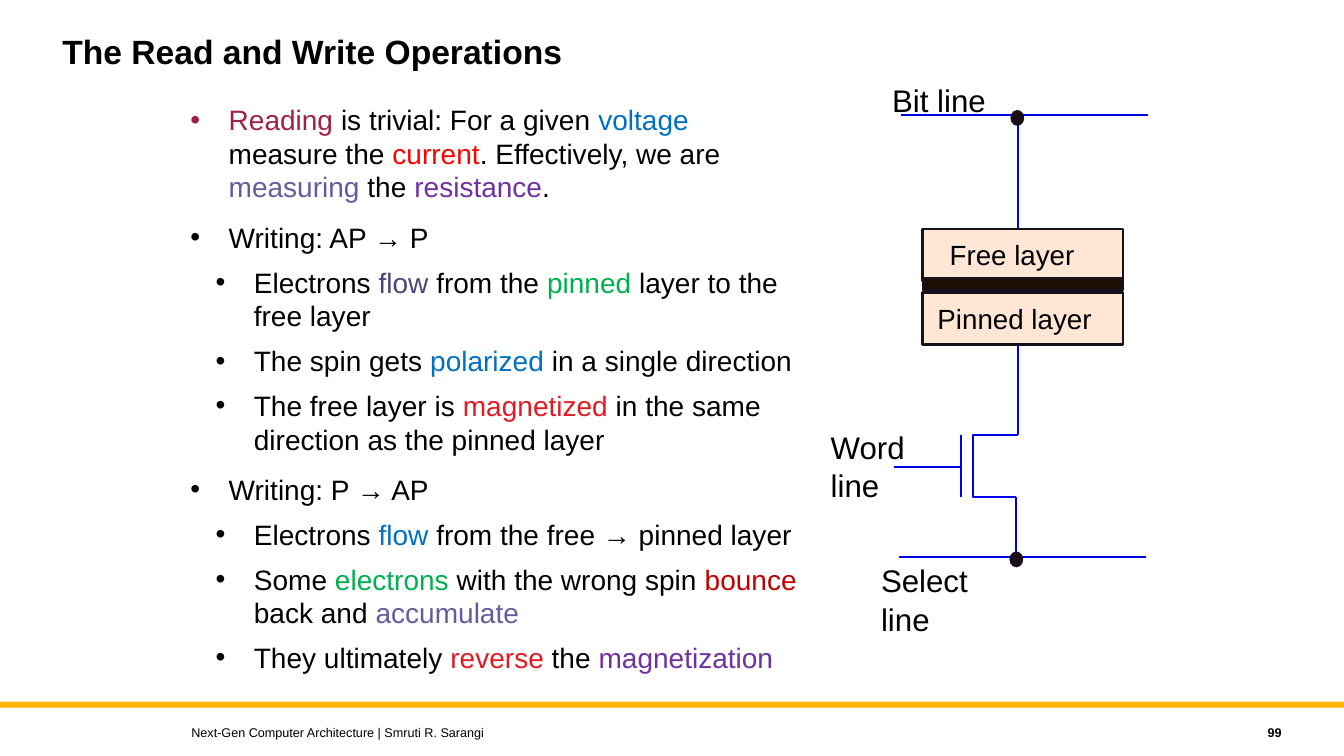
from typing import NamedTuple

from lxml.etree import SubElement
from pptx import Presentation
from pptx.dml.color import RGBColor
from pptx.enum.shapes import MSO_CONNECTOR as Connector, MSO_SHAPE as Preset
from pptx.enum.text import MSO_ANCHOR as Anchor, PP_ALIGN as Align
from pptx.oxml.ns import qn
from pptx.util import Inches, Pt

COLORS = {
    "black": "000000", "gold": "FFB600", "maroon": "9F2241", "blue": "0070C0",
    "red": "FF0000", "lavender": "625D9C", "purple": "7030A0", "indigo": "4A4675",
    "green": "00B050", "scarlet": "E21A23", "crimson": "C00000", "wire": "0000E8",
    "outline": "15111D", "layer": "FFE6D5", "barrier": "1D0F05", "dot": "1A0E12",
}
FONT = "Arial"
WIRE_WIDTH = 1.42


class Box(NamedTuple):
    left: float
    top: float
    width: float
    height: float


class Run(NamedTuple):
    text: str
    color: str = "black"


class Bullet(NamedTuple):
    level: int
    runs: list[Run]


class Label(NamedTuple):
    text: str
    box: Box
    size: float


class Wire(NamedTuple):
    x1: float
    y1: float
    x2: float
    y2: float


class Layer(NamedTuple):
    box: Box
    fill: str
    line_width: float


BULLETS = [
    Bullet(0, [Run("Reading", "maroon"), Run(" is trivial: For a given "),
               Run("voltage", "blue"), Run(" measure the "), Run("current", "red"),
               Run(". Effectively, we are "), Run("measuring", "lavender"),
               Run(" the "), Run("resistance", "purple"), Run(".")]),
    Bullet(0, [Run("Writing: AP → P")]),
    Bullet(1, [Run("Electrons "), Run("flow", "indigo"), Run(" from the "),
               Run("pinned", "green"), Run(" layer to the free layer")]),
    Bullet(1, [Run("The spin gets "), Run("polarized", "blue"),
               Run(" in a single direction")]),
    Bullet(1, [Run("The free layer is "), Run("magnetized", "scarlet"),
               Run(" in the same direction as the pinned layer")]),
    Bullet(0, [Run("Writing: P → AP")]),
    Bullet(1, [Run("Electrons "), Run("flow", "blue"),
               Run(" from the free → pinned layer")]),
    Bullet(1, [Run("Some "), Run("electrons", "green"), Run(" with the wrong spin "),
               Run("bounce", "crimson"), Run(" back and "),
               Run("accumulate", "lavender")]),
    Bullet(1, [Run("They ultimately "), Run("reverse", "scarlet"), Run(" the "),
               Run("magnetization", "purple")]),
]
WIRES = [
    Wire(8.94, 1.14, 11.39, 1.14),   # bit line
    Wire(10.1, 1.14, 10.1, 2.27),
    Wire(10.1, 3.43, 10.1, 4.32),
    Wire(9.53, 4.32, 9.53, 4.93),    # transistor gate
    Wire(9.53, 4.63, 8.87, 4.63),    # word line
    Wire(10.08, 4.93, 10.08, 5.55),
    Wire(8.92, 5.53, 11.37, 5.53),   # select line
]
CHANNEL = [(10.1, 4.32), (9.65, 4.32), (9.65, 4.93), (10.08, 4.93)]
LAYERS = [
    Layer(Box(9.15, 2.27, 1.99, 0.52), "layer", 1.85),
    Layer(Box(9.15, 2.76, 1.99, 0.12), "barrier", 1.5),
    Layer(Box(9.15, 2.9, 1.99, 0.52), "layer", 1.85),
]
JUNCTIONS = [Box(10.03, 1.1, 0.12, 0.14), Box(10.02, 5.48, 0.12, 0.14)]
LABELS = [
    Label("Bit line", Box(8.75, 0.76, 1.14, 0.48), 22.3),
    Label("Free layer", Box(9.32, 2.31, 1.45, 0.43), 19.8),
    Label("Pinned layer", Box(9.2, 2.94, 1.74, 0.43), 19.8),
    Label("Word", Box(8.14, 4.2, 0.94, 0.48), 22.3),
    Label("line", Box(8.14, 4.58, 0.69, 0.48), 22.3),
    Label("Select", Box(8.64, 5.52, 1.07, 0.48), 22.3),
    Label("line", Box(8.64, 5.91, 0.69, 0.48), 22.3),
]


def rgb(name: str) -> RGBColor:
    return RGBColor.from_string(COLORS[name])


def inches(values) -> list:
    return [Inches(value) for value in values]


def write_runs(paragraph, runs: list[Run], size: float, bold: bool = False) -> None:
    for part in runs:
        run = paragraph.add_run()
        run.text = part.text
        run.font.name, run.font.size, run.font.bold = FONT, Pt(size), bold
        run.font.color.rgb = rgb(part.color)


def add_text(slide, text: str, box: Box, *, size: float, bold: bool = False,
             align=Align.LEFT, anchor=Anchor.TOP, wrap: bool = True,
             spacing: float | None = None) -> None:
    frame = slide.shapes.add_textbox(*inches(box)).text_frame
    frame.word_wrap, frame.vertical_anchor = wrap, anchor
    paragraph = frame.paragraphs[0]
    paragraph.alignment, paragraph.line_spacing = align, spacing
    write_runs(paragraph, [Run(text)], size, bold)


def add_bullets(slide, bullets: list[Bullet], box: Box) -> None:
    frame = slide.shapes.add_textbox(*inches(box)).text_frame
    frame.word_wrap = True
    for index, bullet in enumerate(bullets):
        paragraph = frame.add_paragraph() if index else frame.paragraphs[0]
        paragraph.level = bullet.level
        paragraph.line_spacing = Pt(24)
        if index:
            paragraph.space_before = Pt(8 if bullet.level else 12)
        properties = paragraph._p.get_or_add_pPr()
        properties.set("marL", str(Inches(0.38 + 0.25 * bullet.level)))
        properties.set("indent", str(Inches(-0.38)))
        bullet_color = SubElement(properties, qn("a:buClr"))
        SubElement(bullet_color, qn("a:srgbClr"), val=COLORS[bullet.runs[0].color])
        SubElement(properties, qn("a:buFont"), typeface=FONT)
        SubElement(properties, qn("a:buChar"), char="•")
        write_runs(paragraph, bullet.runs, 20)


def add_filled(slide, preset, box: Box, fill: str, line: str | None = None,
               line_width: float = 0) -> None:
    shape = slide.shapes.add_shape(preset, *inches(box))
    shape.shadow.inherit = False
    shape.fill.solid()
    shape.fill.fore_color.rgb = rgb(fill)
    if line:
        shape.line.color.rgb, shape.line.width = rgb(line), Pt(line_width)
    else:
        shape.line.fill.background()


def add_wire(slide, wire: Wire) -> None:
    connector = slide.shapes.add_connector(Connector.STRAIGHT, *inches(wire))
    connector.line.color.rgb, connector.line.width = rgb("wire"), Pt(WIRE_WIDTH)
    SubElement(connector._element.spPr, qn("a:effectLst"))


def add_channel(slide, points: list[tuple[float, float]]) -> None:
    """Draw the open bracket that joins the transistor's two terminals."""
    start, *rest = [tuple(inches(point)) for point in points]
    builder = slide.shapes.build_freeform(*start)
    builder.add_line_segments(rest, close=False)
    channel = builder.convert_to_shape()
    channel.shadow.inherit = False
    channel.fill.background()
    channel.line.color.rgb, channel.line.width = rgb("wire"), Pt(WIRE_WIDTH)


def main() -> None:
    deck = Presentation()
    deck.slide_width, deck.slide_height = Inches(13.33), Inches(7.5)
    slide = deck.slides.add_slide(deck.slide_layouts[6])

    add_filled(slide, Preset.RECTANGLE, Box(0, 6.96, 13.33, 0.06), "gold")
    add_text(slide, "The Read and Write Operations", Box(0.52, 0.3, 10.17, 0.9),
             size=24, bold=True, spacing=0.9)
    add_bullets(slide, BULLETS, Box(1.79, 0.97, 6.27, 5.91))
    add_text(slide, "99", Box(11.41, 7.14, 1.4, 0.25), size=9, bold=True,
             align=Align.RIGHT, anchor=Anchor.MIDDLE)
    add_text(slide, "Next-Gen Computer Architecture | Smruti R. Sarangi",
             Box(1.8, 7.14, 8, 0.25), size=9, anchor=Anchor.MIDDLE)

    for wire in WIRES:
        add_wire(slide, wire)
    add_channel(slide, CHANNEL)
    for layer in LAYERS:
        add_filled(slide, Preset.RECTANGLE, layer.box, layer.fill, "outline",
                   layer.line_width)
    for junction in JUNCTIONS:
        add_filled(slide, Preset.OVAL, junction, "dot", "outline", 1.18)
    for label in LABELS:
        add_text(slide, label.text, label.box, size=label.size, wrap=False)

    deck.save("out.pptx")


if __name__ == "__main__":
    main()
